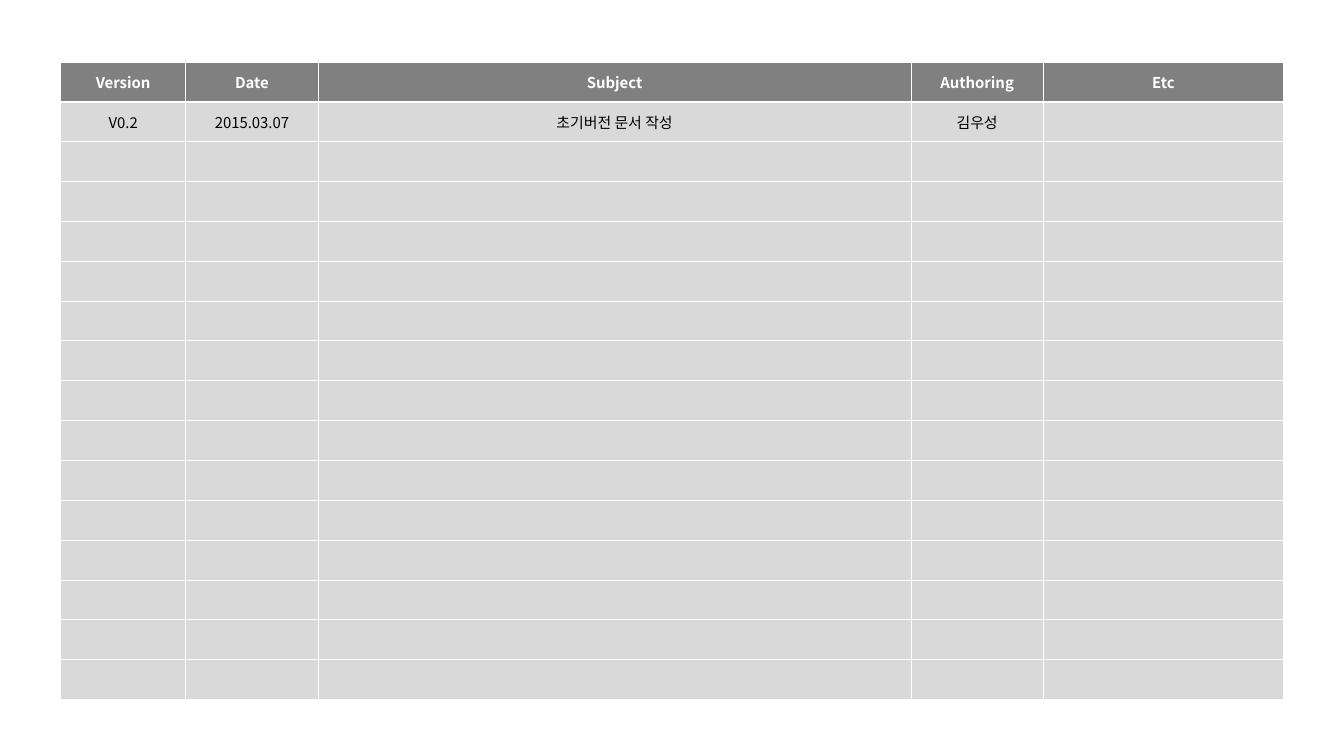
"""Build a one-slide document revision history table."""
from dataclasses import dataclass

from lxml import etree
from pptx import Presentation
from pptx import util as u
from pptx.dml.color import RGBColor
from pptx.enum import text
from pptx.oxml.ns import qn

COLORS = {"header": "808080", "body": "D9D9D9", "border": "FFFFFF",
          "header_text": "FFFFFF", "body_text": "000000"}
FONT = "Noto Sans CJK KR"
ROW_COUNT = 16
ROW_HEIGHT = 42.7
TABLE_LEFT, TABLE_TOP = 65, 66.4


@dataclass(frozen=True)
class Column:
    title: str
    width: float


@dataclass(frozen=True)
class RowStyle:
    fill: str
    font_color: str
    bold: bool
    top: float
    bottom: float


COLUMNS = [Column("Version", 134), Column("Date", 142), Column("Subject", 635),
           Column("Authoring", 142), Column("Etc", 257)]
REVISIONS = [("V0.2", "2015.03.07", "초기버전 문서 작성", "김우성", "")]
HEADER = RowStyle("header", "header_text", True, 1, 3)
FIRST_BODY = RowStyle("body", "body_text", False, 3, 1)
BODY = RowStyle("body", "body_text", False, 1, 1)


def color(name: str) -> RGBColor:
    return RGBColor.from_string(COLORS[name])


def set_borders(cell, style: RowStyle) -> None:
    properties = cell._tc.get_or_add_tcPr()
    widths = {"a:lnL": 1, "a:lnR": 1, "a:lnT": style.top, "a:lnB": style.bottom}
    for index, (tag, width) in enumerate(widths.items()):
        line = etree.Element(qn(tag), w=str(u.Pt(width)))
        fill = etree.SubElement(line, qn("a:solidFill"))
        etree.SubElement(fill, qn("a:srgbClr"), val=COLORS["border"])
        properties.insert(index, line)


def fill_cell(cell, wording: str, style: RowStyle) -> None:
    cell.fill.solid()
    cell.fill.fore_color.rgb = color(style.fill)
    cell.margin_left = cell.margin_right = u.Pt(14.4)
    cell.margin_top = cell.margin_bottom = u.Pt(7.2)
    cell.vertical_anchor = text.MSO_ANCHOR.MIDDLE
    set_borders(cell, style)
    cell.text = wording
    paragraph = cell.text_frame.paragraphs[0]
    paragraph.alignment = text.PP_ALIGN.CENTER
    font = paragraph.font
    font.size, font.bold, font.name = u.Pt(16), style.bold, FONT
    font.color.rgb = color(style.font_color)
    defaults = paragraph._p.pPr.find(qn("a:defRPr"))
    etree.SubElement(defaults, qn("a:ea"), typeface=FONT)


def add_revision_table(slide) -> None:
    width = sum(column.width for column in COLUMNS)
    table = slide.shapes.add_table(
        ROW_COUNT, len(COLUMNS), u.Pt(TABLE_LEFT), u.Pt(TABLE_TOP),
        u.Pt(width), u.Pt(ROW_COUNT * ROW_HEIGHT)).table
    table.horz_banding = False
    for table_column, column in zip(table.columns, COLUMNS):
        table_column.width = u.Pt(column.width)

    blank = ("",) * len(COLUMNS)
    records = [tuple(column.title for column in COLUMNS), *REVISIONS]
    records += [blank] * (ROW_COUNT - len(records))
    styles = [HEADER, FIRST_BODY] + [BODY] * (ROW_COUNT - 2)
    for row, record, style in zip(table.rows, records, styles):
        row.height = u.Pt(ROW_HEIGHT)
        for cell, wording in zip(row.cells, record):
            fill_cell(cell, wording, style)


def main() -> None:
    presentation = Presentation()
    presentation.slide_width = u.Pt(1440)
    presentation.slide_height = u.Pt(810)
    slide = presentation.slides.add_slide(presentation.slide_layouts[6])
    add_revision_table(slide)
    presentation.save("out.pptx")


if __name__ == "__main__":
    main()
